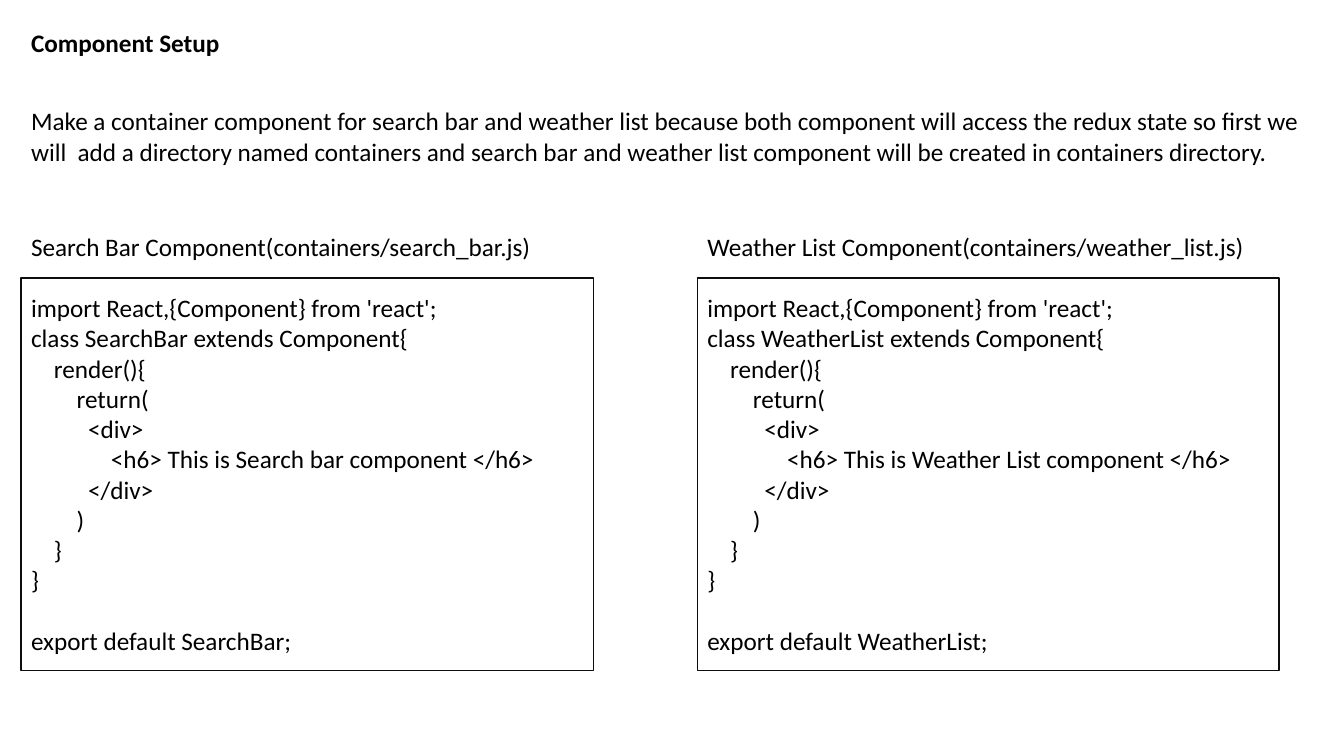
from pptx import Presentation
from pptx.dml.color import RGBColor
from pptx.enum.shapes import MSO_SHAPE as Shape
from pptx.enum.text import MSO_ANCHOR as Anchor, PP_ALIGN as Align
from pptx.util import Pt

COLORS = {"text": "000000", "border": "0D0D0D"}


class SlideWriter:
    font_name = "Calibri"
    font_size = 18
    line_height = 21.97
    space_width = 4.07  # one space at the font size

    def __init__(self, page):
        self.page = page

    def style(self, para, bold=False):
        para.alignment = Align.LEFT
        font = para.font
        font.name, font.size, font.bold = self.font_name, Pt(self.font_size), bold
        font.color.rgb = RGBColor.from_string(COLORS["text"])

    def text(self, content, left, top, width, height, bold=False):
        box = self.page.shapes.add_textbox(Pt(left), Pt(top), Pt(width), Pt(height))
        box.text_frame.word_wrap = True
        para = box.text_frame.paragraphs[0]
        para.text = content
        self.style(para, bold)

    def code(self, lines, left, top, width, height):
        """Draw a framed listing; each line is (indent in spaces, lines skipped, text)."""
        box = self.page.shapes.add_shape(
            Shape.RECTANGLE, Pt(left), Pt(top), Pt(width), Pt(height))
        box.shadow.inherit = False
        box.fill.background()
        box.line.color.rgb = RGBColor.from_string(COLORS["border"])
        box.line.width = Pt(1)
        frame = box.text_frame
        frame.word_wrap = True
        frame.vertical_anchor = Anchor.MIDDLE
        for index, (indent, skipped, content) in enumerate(lines):
            para = frame.add_paragraph() if index else frame.paragraphs[0]
            para.text = content
            self.style(para)
            if indent:
                margin = Pt(indent * self.space_width)
                para._p.get_or_add_pPr().set("marL", str(margin))
            if skipped:
                para.space_before = Pt(skipped * self.line_height)


def component_code(name, label):
    return [
        (0, 0, "import React,{Component} from 'react';"),
        (0, 0, f"class {name} extends Component{{"),
        (4, 0, "render(){"),
        (8, 0, "return("),
        (10, 0, "<div>"),
        (14, 0, f"<h6> This is {label} component </h6>"),
        (10, 0, "</div>"),
        (8, 0, ")"),
        (4, 0, "}"),
        (0, 0, "}"),
        (0, 1, f"export default {name};"),
    ]


deck = Presentation()
deck.slide_width, deck.slide_height = Pt(960), Pt(540)
writer = SlideWriter(deck.slides.add_slide(deck.slide_layouts[6]))

# Title and introduction
LEFT = 15.1
writer.text("Component Setup", LEFT, 15.8, 925.2, 28.8, bold=True)
writer.text(
    "Make a container component for search bar and weather list because both "
    "component will access the redux state so first we will  add a directory named "
    "containers and search bar and weather list component will be created in "
    "containers directory.",
    LEFT, 72, 936, 51.1)

# One captioned listing per component
components = [
    (LEFT, 409, "Search Bar Component(containers/search_bar.js)",
     "SearchBar", "Search bar"),
    (498.2, 415.4, "Weather List Component(containers/weather_list.js)",
     "WeatherList", "Weather List"),
]
for left, width, caption, name, label in components:
    writer.text(caption, left, 162, width, 28.8)
    writer.code(component_code(name, label), left, 198.7, width, 280.1)

deck.save("out.pptx")
